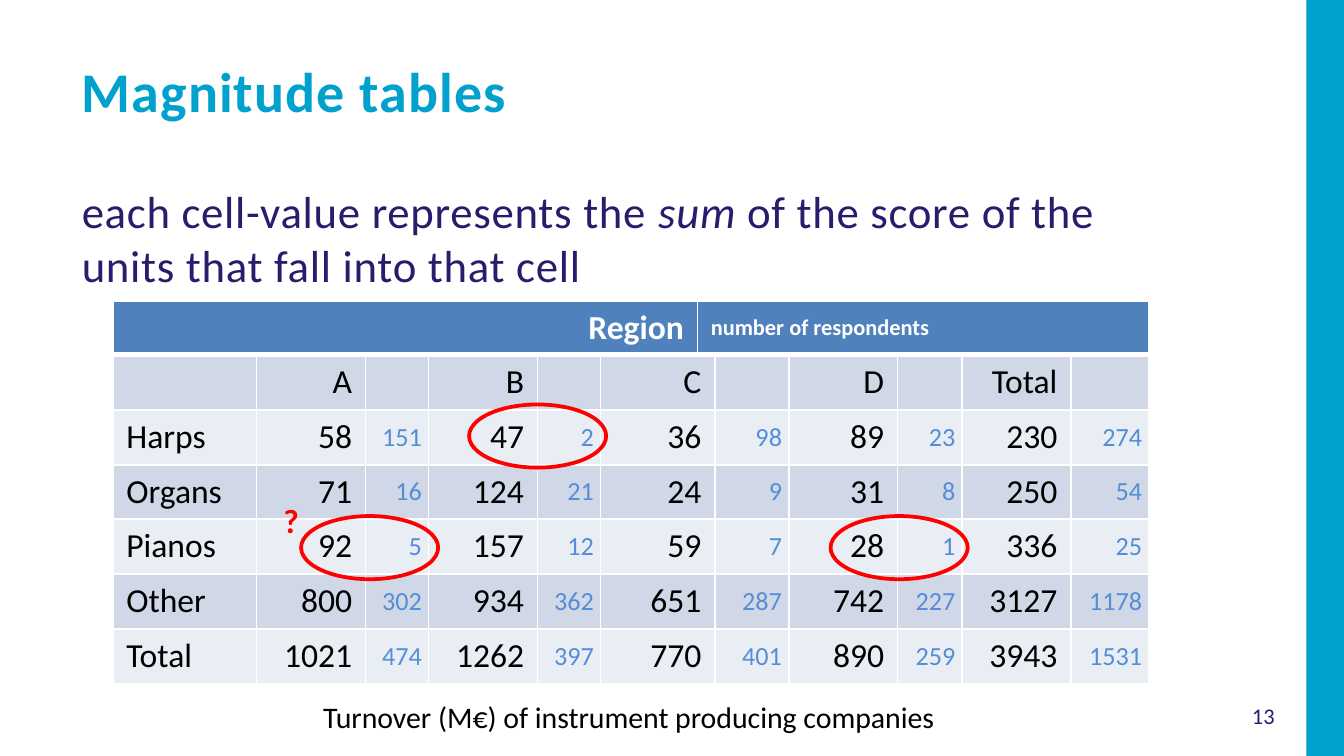
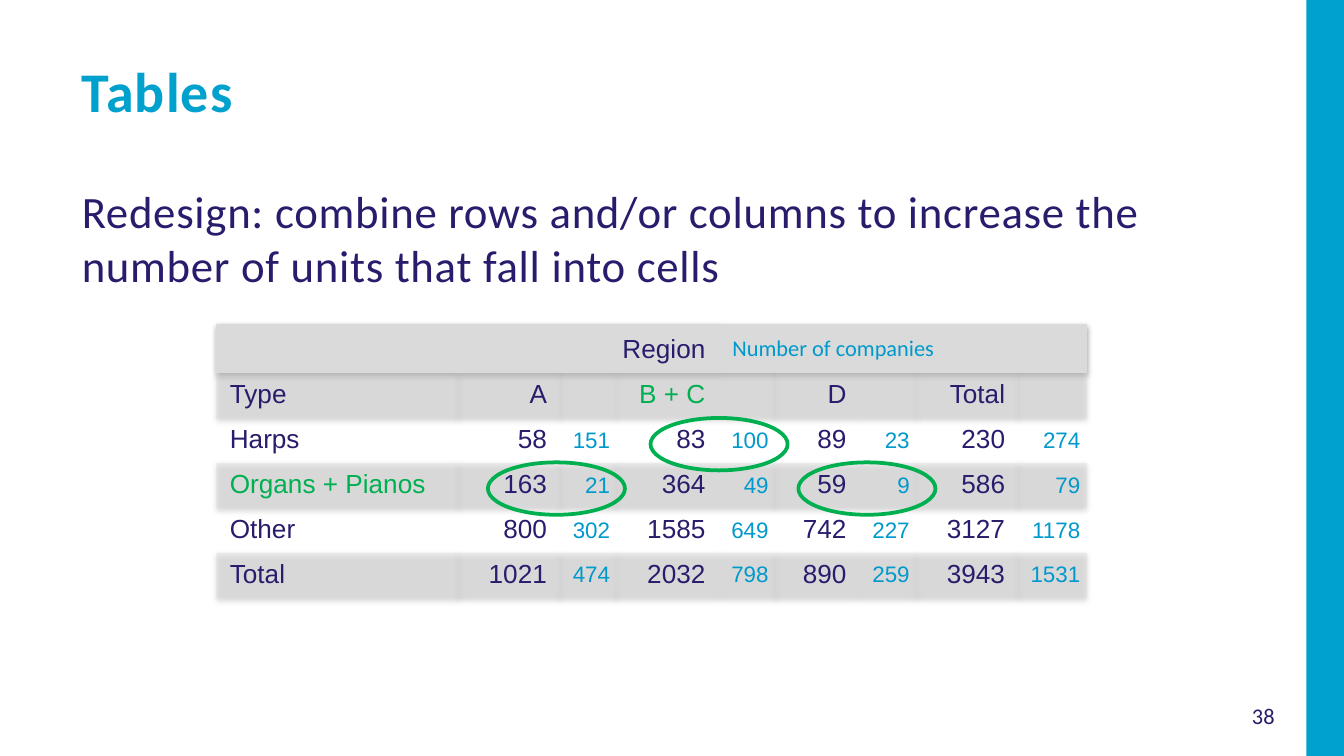
import pptx
import pptx.util
import pptx.dml.color
import pptx.enum.shapes
import pptx.enum.text
import pptx.oxml
import pptx.oxml.ns
from lxml import etree

Inches = pptx.util.Inches
qn = pptx.oxml.ns.qn
RGB = pptx.dml.color.RGBColor.from_string
ALIGN = pptx.enum.text.PP_ALIGN
MIDDLE = pptx.enum.text.MSO_ANCHOR.MIDDLE
SHAPE = pptx.enum.shapes.MSO_SHAPE
NS = 'xmlns:a="http://schemas.openxmlformats.org/drawingml/2006/main"'
NO_STYLE = "{2D5ABB26-0587-4C30-8999-92F81FD0307C}"

C = {
    "cyan": "00A1CD", "navy": "271D6C", "white": "FFFFFF", "black": "000000",
    "red": "FF0000", "green": "00B050", "header": "4F81BD", "band": "D0D8E8",
    "pale": "E9EDF4", "count": "558ED5", "grey": "DADADA", "teal": "0099CC",
}


def put(tf, text, size=18, color="black", font="Calibri", bold=False,
        italic=False, align=None, spc=None, before=None):
    p = tf.paragraphs[0]
    if align is not None:
        p.alignment = align
    if before:
        pPr = p._p.get_or_add_pPr()
        if pPr.find(qn("a:spcBef")) is None:
            gap = etree.SubElement(pPr, qn("a:spcBef"))
            etree.SubElement(gap, qn("a:spcPct"), val=str(before * 1000))
    if not text:
        etree.SubElement(p._p, qn("a:endParaRPr"), sz=str(size * 100))
        return
    r = p.add_run()
    r.text = text
    r.font.size = pptx.util.Pt(size)
    r.font.name = font
    r.font.bold = bold
    r.font.italic = italic
    r.font.color.rgb = RGB(C[color])
    if spc:
        r._r.get_or_add_rPr().set("spc", str(round(spc * 100)))


def box(s, x, y, w, h):
    tf = s.shapes.add_textbox(Inches(x), Inches(y), Inches(w), Inches(h)).text_frame
    tf.word_wrap = True
    return tf


pages = [
    {
        "number": "13",
        "title": "Magnitude tables",
        "body": ["each cell-value represents the ", "sum",
                 " of the score of the units that fall into that cell"],
        "at": (0.84, 2.24, 7.7, 2.84),
        "cols": [1.07, 0.81, 0.47, 0.81, 0.47, 0.72, 0.13, 0.55, 0.81, 0.48, 0.81, 0.58],
        "heights": [0.4] + [0.41] * 2 + [0.4] + [0.41] * 3,
        "split": 6,
        "wide": 5,
        "heads": [
            ("Region", dict(size=18, color="white", bold=True, align=ALIGN.RIGHT)),
            ("number of respondents", dict(size=12, color="white", bold=True)),
        ],
        "value": dict(size=18, color="black"),
        "count": dict(size=14, color="count"),
        "fills": ("header", "band", "pale"),
        "borders": True,
        "empty": 18,
        "rows": [
            ["", "A", "", "B", "", "C", "", "D", "", "Total", ""],
            ["Harps", "58", "151", "47", "2", "36", "98", "89", "23", "230", "274"],
            ["Organs", "71", "16", "124", "21", "24", "9", "31", "8", "250", "54"],
            ["Pianos", "92", "5", "157", "12", "59", "7", "28", "1", "336", "25"],
            ["Other", "800", "302", "934", "362", "651", "287", "742", "227", "3127", "1178"],
            ["Total", "1021", "474", "1262", "397", "770", "401", "890", "259", "3943", "1531"],
        ],
        "rings": [(6.18, 3.84), (3.49, 3.01), (2.24, 3.84)],
        "ring_height": 0.47,
        "ring_color": "red",
    },
    {
        "number": "38",
        "title": "Tables",
        "body": ["Redesign: combine rows and/or columns to increase the "
                 "number of units that fall into cells"],
        "at": (1.61, 2.41, 6.48, 2.07),
        "cols": [1.8, 0.76, 0.42, 0.76, 0.42, 0.63, 0.42, 0.76, 0.51],
        "heights": [0.25, 0.22, 0.18, 0.15, 0.2, 0.17],
        "split": 4,
        "wide": None,
        "heads": [
            ("Region", dict(size=14, color="navy", font="Arial", align=ALIGN.RIGHT)),
            ("Number of companies", dict(size=12, color="teal")),
        ],
        "value": dict(size=14, color="navy", font="Arial"),
        "count": dict(size=12, color="teal", font="Arial"),
        "fills": ("grey", "grey", None),
        "borders": False,
        "empty": 14,
        "rows": [
            ["Type", "A", "", "B + C", "", "D", "", "Total", ""],
            ["Harps", "58", "151", "83", "100", "89", "23", "230", "274"],
            ["Organs + Pianos", "163", "21", "364", "49", "59", "9", "586", "79"],
            ["Other", "800", "302", "1585", "649", "742", "227", "3127", "1178"],
            ["Total", "1021", "474", "2032", "798", "890", "259", "3943", "1531"],
        ],
        "rings": [(3.63, 3.44), (4.84, 3.11), (5.94, 3.44)],
        "ring_height": 0.39,
        "ring_color": "green",
    },
]

prs = pptx.Presentation()
prs.slide_width = Inches(10)
prs.slide_height = Inches(10 * 9 / 16)

for page in pages:
    s = prs.slides.add_slide(prs.slide_layouts[6])
    sp = s.shapes.add_shape(SHAPE.RECTANGLE, Inches(9.72), 0, Inches(0.28), prs.slide_height)
    sp.shadow.inherit = False
    sp.fill.solid()
    sp.fill.fore_color.rgb = RGB(C["cyan"])
    sp.line.fill.background()

    tf = box(s, 9.08, 5.15, 0.64, 0.35)
    tf.vertical_anchor = MIDDLE
    put(tf, page["number"], size=12, color="navy", align=ALIGN.CENTER)
    tf = box(s, 0.51, 1.32, 8.35, 3.78)
    for text in page["body"]:
        put(tf, text, size=24, color="navy", italic=text == "sum", spc=0.4, before=20)
    put(box(s, 0.51, 0.37, 8.35, 0.63), page["title"], size=30, color="cyan",
        bold=True, spc=0.6, before=20)

    cols, heights = page["cols"], page["heights"]
    x, y, w, h = map(Inches, page["at"])
    frame = s.shapes.add_table(len(heights), len(cols), x, y, w, h)
    table = frame.table
    table.first_row = page["borders"]
    table.horz_banding = False
    tblPr = table._tbl.tblPr
    tblPr.find(qn("a:tableStyleId")).text = NO_STYLE
    if not page["borders"]:
        tblPr.insert(0, pptx.oxml.parse_xml(
            f'<a:effectLst {NS}><a:outerShdw blurRad="40000" dist="20000" dir="5400000" '
            'rotWithShape="0"><a:srgbClr val="000000"><a:alpha val="38000"/></a:srgbClr>'
            '</a:outerShdw></a:effectLst>'))
    for col, width in zip(table.columns, cols):
        col.width = Inches(width)
    for row, height in zip(table.rows, heights):
        row.height = Inches(height)
    frame.width, frame.height = w, h

    header, band, plain = page["fills"]
    for i in range(len(heights)):
        for j in range(len(cols)):
            cell = table.cell(i, j)
            fill = header if i == 0 else band if i % 2 else plain
            if fill:
                cell.fill.solid()
                cell.fill.fore_color.rgb = RGB(C[fill])
            else:
                cell.fill.background()
            tcPr = cell._tc.get_or_add_tcPr()
            if fill == "grey" and i > 0:
                etree.SubElement(tcPr.find(".//" + qn("a:srgbClr")), qn("a:alpha"), val="40000")
            if page["borders"]:
                thick = {"T": i == 1, "B": i == 0}
                for k, side in enumerate("LRTB"):
                    width = 38100 if thick.get(side) else 12700
                    tcPr.insert(k, pptx.oxml.parse_xml(
                        f'<a:ln{side} {NS} w="{width}"><a:solidFill>'
                        f'<a:srgbClr val="{C["white"]}"/></a:solidFill></a:ln{side}>'))

    split, wide = page["split"], page["wide"]
    table.cell(0, 0).merge(table.cell(0, split - 1))
    table.cell(0, split).merge(table.cell(0, len(cols) - 1))
    for j, (text, style) in zip((0, split), page["heads"]):
        cell = table.cell(0, j)
        cell.vertical_anchor = MIDDLE
        if j == 0 and not page["borders"]:
            put(cell.text_frame, " ", size=16, color="navy", font="Arial")
        put(cell.text_frame, text, **style)

    for i, row in enumerate(page["rows"], 1):
        if wide:
            table.cell(i, wide).merge(table.cell(i, wide + 1))
        for j, text in enumerate(row):
            cell = table.cell(i, j + 1 if wide and j > wide else j)
            style = dict(page["value"])
            if not text:
                style["size"] = page["empty"]
            elif i > 1 and j and j % 2 == 0:
                style = dict(page["count"])
                cell.vertical_anchor = MIDDLE
                cell.margin_left = cell.margin_right = Inches(0.05)
                cell.margin_top = cell.margin_bottom = Inches(0.05)
            if "+" in text:
                style["color"] = "green"
            put(cell.text_frame, text, align=ALIGN.RIGHT if j else None, **style)

    for x, y in page["rings"]:
        sp = s.shapes.add_shape(SHAPE.OVAL, Inches(x), Inches(y),
                                Inches(1.02), Inches(page["ring_height"]))
        sp.shadow.inherit = False
        sp.fill.background()
        sp.line.color.rgb = RGB(C[page["ring_color"]])
        sp.line.width = pptx.util.Pt(2)

s = prs.slides[0]
put(box(s, 2.01, 3.67, 0.31, 0.4), "?", color="red", bold=True)
put(box(s, 1.69, 5.15, 5.98, 0.37), "Turnover (M€) of instrument producing companies",
    size=16, align=ALIGN.CENTER)

prs.save("out.pptx")
